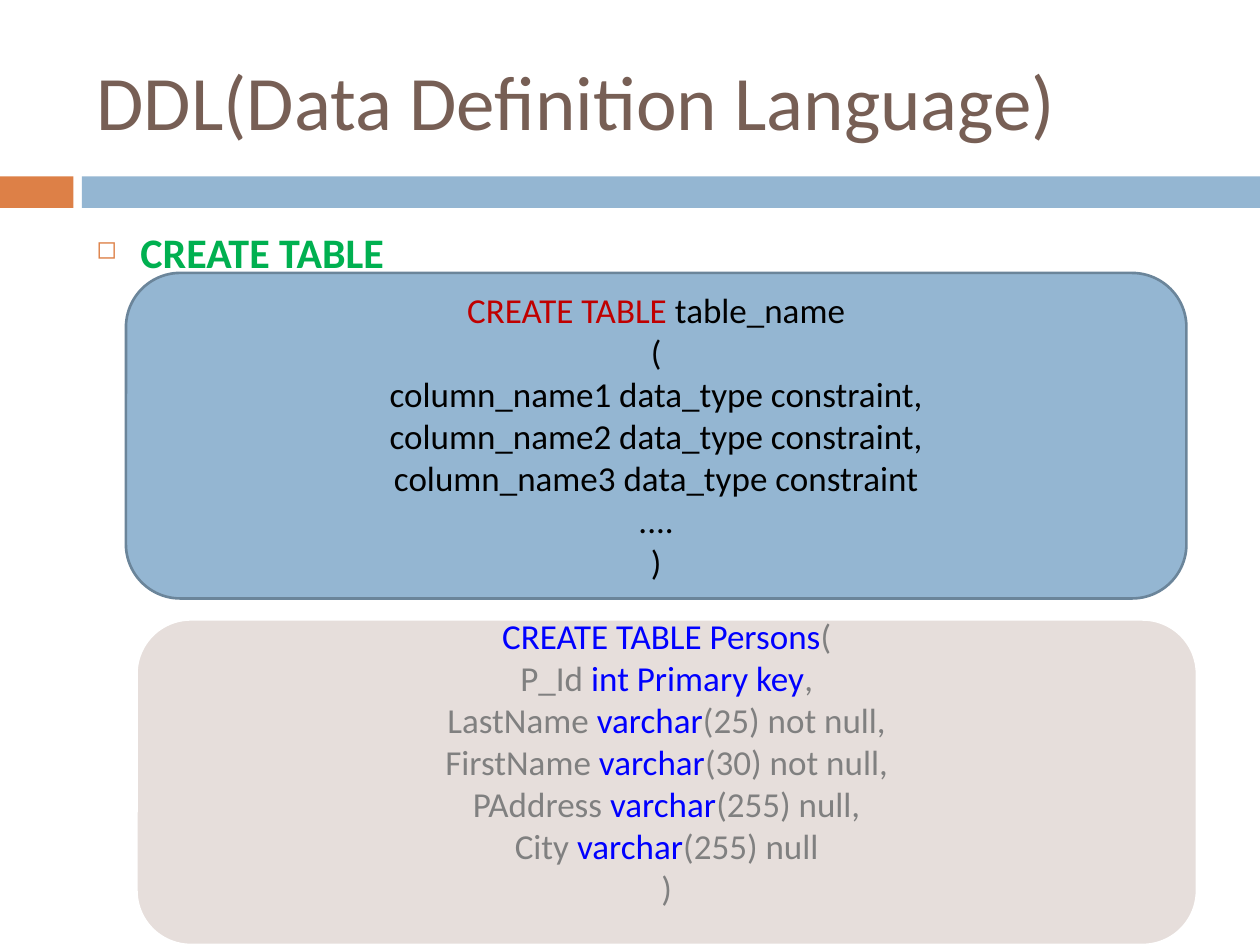
from lxml import etree
from pptx import Presentation
from pptx import util as u
from pptx.dml.color import RGBColor
from pptx.enum import shapes, text
from pptx.oxml import ns

ORANGE = RGBColor(0xDD, 0x80, 0x47)
BLUE = RGBColor(0x94, 0xB6, 0xD2)
EDGE = RGBColor(0x6B, 0x85, 0x9A)
BROWN = RGBColor(0x77, 0x5F, 0x55)
PALE = RGBColor(0xE6, 0xDE, 0xDB)
WHITE = RGBColor(0xFF, 0xFF, 0xFF)
BLACK = RGBColor(0, 0, 0)
GREEN = RGBColor(0, 0xB0, 0x50)
RED = RGBColor(0xC0, 0, 0)
WORD = RGBColor(0, 0, 0xFF)
GREY = RGBColor(0x80, 0x80, 0x80)

# The slide is a grid of 120 columns and 90 rows
WIDE, HIGH = u.Inches(10), u.Inches(7.5)
COL, ROW = WIDE / 120, HIGH / 90

SYNTAX = [[("CREATE TABLE ", RED),
           ("table_name\v(\vcolumn_name1 data_type constraint,\v"
            "column_name2 data_type constraint,\v"
            "column_name3 data_type constraint\v....\v)", BLACK)]]
FIELDS = [("P_Id ", "int Primary key", ","),
          ("LastName ", "varchar", "(25) not null,"),
          ("FirstName ", "varchar", "(30) not null,"),
          ("PAddress ", "varchar", "(255) null,"),
          ("City ", "varchar", "(255) null")]
SAMPLE = ([[("CREATE TABLE Persons", WORD), ("(", GREY)]]
          + [list(zip(field, (GREY, WORD, GREY))) for field in FIELDS]
          + [[(")", GREY)]])


def place(box):
    x, y, w, h = box
    return [u.Emu(round(n)) for n in (x * COL, y * ROW, w * COL, h * ROW)]


def style(run, size, color, bold=False):
    run.font.name = "Calibri"
    run.font.size = u.Pt(size)
    run.font.bold = bold
    run.font.color.rgb = color


def add_shape(slide, kind, box, fill):
    shape = slide.shapes.add_shape(kind, *place(box))
    shape.shadow.inherit = False
    shape.fill.solid()
    shape.fill.fore_color.rgb = fill
    shape.line.fill.background()
    return shape


def add_label(slide, box, words, size, color, bold=False):
    frame = slide.shapes.add_textbox(*place(box)).text_frame
    frame.word_wrap = True
    frame.text = words
    style(frame.paragraphs[0].runs[0], size, color, bold)
    return frame


def add_band(slide, box):
    """Short orange block, a gap, then the long blue bar."""
    x, y, w, h = box
    for left, wide, fill in ((0, 7, ORANGE), (7.8, w - 7.8, BLUE)):
        add_shape(slide, shapes.MSO_SHAPE.RECTANGLE, (x + left, y, wide, h), fill)


def add_title(slide, box):
    frame = add_label(slide, box, "DDL(Data Definition Language)", 44, BROWN)
    frame.vertical_anchor = text.MSO_ANCHOR.MIDDLE


def add_topic(slide, box):
    """Bulleted heading above the code."""
    frame = add_label(slide, box, "CREATE TABLE", 24, GREEN, True)
    para = frame.paragraphs[0]
    para.space_before = u.Pt(7)
    props = para._p.get_or_add_pPr()
    props.set("marL", str(u.Inches(0.35)))
    props.set("indent", str(-u.Inches(0.35)))
    tint = etree.SubElement(props, ns.qn("a:buClr"))
    etree.SubElement(tint, ns.qn("a:srgbClr")).set("val", str(ORANGE))
    etree.SubElement(props, ns.qn("a:buSzPct")).set("val", "60000")
    etree.SubElement(props, ns.qn("a:buChar")).set("char", "◻")


def add_code(slide, box, lines, fill, edge, foot=0.05):
    """Rounded panel of coloured code; foot is the bottom inset."""
    panel = add_shape(slide, shapes.MSO_SHAPE.ROUNDED_RECTANGLE, box, fill)
    panel.line.color.rgb = edge
    panel.line.width = u.Pt(1.5)
    frame = panel.text_frame
    frame.word_wrap = True
    frame.vertical_anchor = text.MSO_ANCHOR.MIDDLE
    frame.margin_bottom = u.Inches(foot)
    for i, parts in enumerate(lines):
        para = frame.add_paragraph() if i else frame.paragraphs[0]
        para.alignment = text.PP_ALIGN.CENTER
        for words, color in parts:
            for j, piece in enumerate(words.split("\v")):
                if j:
                    para.add_line_break()
                run = para.add_run()
                run.text = piece
                style(run, 20, color)


def main():
    deck = Presentation()
    deck.slide_width, deck.slide_height = WIDE, HIGH
    slide = deck.slides.add_slide(deck.slide_layouts[6])
    add_band(slide, (0, 16.8, 120, 3))
    add_title(slide, (8, 3, 107, 13))
    add_topic(slide, (8, 21, 107, 59))
    add_code(slide, (12, 26, 101, 31), SYNTAX, BLUE, EDGE)
    add_code(slide, (13, 59, 101, 31), SAMPLE, PALE, WHITE, foot=0.38)
    deck.save("out.pptx")


if __name__ == "__main__":
    main()
